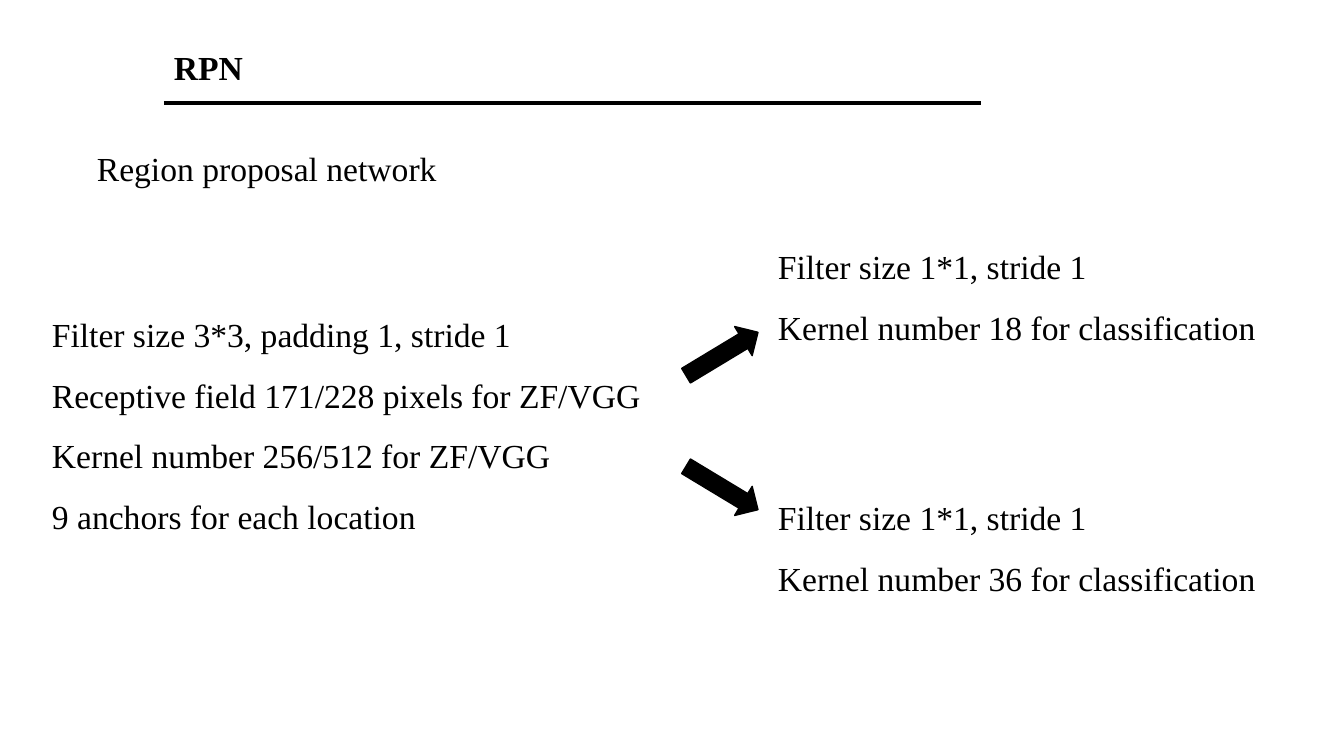
from pptx import Presentation
from pptx import util as u
from pptx.dml.color import RGBColor
from pptx.enum import shapes, text
from pptx.oxml.ns import qn
from lxml import etree

COLORS = {"ink": "000000"}
FONT = "Times New Roman"
PIXEL = u.Inches(1) / 100.8

TITLE = ("RPN", (164, 42, 90, 50))
RULE = (164, 103, 981, 103)
# Lines of text, then left, top, width, height
BODY = [
    (["Region proposal network"], (87, 123, 464, 64)),
    (["Filter size 3*3, padding 1, stride 1",
      "Receptive field 171/228 pixels for ZF/VGG",
      "Kernel number 256/512 for ZF/VGG",
      "9 anchors for each location"], (42, 289, 610, 254)),
]
BRANCH_AREA = (768, 610, 132)  # left, width, height
BRANCHES = [(18, 221), (36, 472)]  # kernel number, top
ARROW_AREA = (680, 84, 34)  # left, width, height
ARROWS = [(337, -31.1), (471, 31.1)]  # top, rotation


def scale(lengths):
    """Turn pixel lengths into EMU."""
    return [u.Emu(round(length * PIXEL)) for length in lengths]


def ink():
    """Return the drawing colour."""
    return RGBColor.from_string(COLORS["ink"])


def add_text(page, lines, area, size=24, bold=False, wrap=True,
             align=text.PP_ALIGN.JUSTIFY, spacing=1.5):
    """Add a text box with one paragraph for each line."""
    box = page.shapes.add_textbox(*scale(area))
    frame = box.text_frame
    frame.word_wrap = wrap
    frame.auto_size = text.MSO_AUTO_SIZE.SHAPE_TO_FIT_TEXT
    for index, line in enumerate(lines):
        para = frame.add_paragraph() if index else frame.paragraphs[0]
        para.alignment = align
        para.line_spacing = spacing
        span = para.add_run()
        span.text = line
        span.font.name = FONT
        span.font.size = u.Pt(size)
        span.font.bold = bold
        span.font.color.rgb = ink()


def add_rule(page, ends):
    """Add the line below the title."""
    rule = page.shapes.add_connector(shapes.MSO_CONNECTOR.STRAIGHT, *scale(ends))
    rule.line.color.rgb = ink()
    rule.line.width = u.Pt(2.25)
    properties = rule._element.find(qn("p:spPr"))
    etree.SubElement(properties, qn("a:effectLst"))


def add_arrow(page, area, rotation):
    """Add a solid block arrow turned by rotation degrees."""
    arrow = page.shapes.add_shape(shapes.MSO_SHAPE.RIGHT_ARROW, *scale(area))
    arrow.shadow.inherit = False
    arrow.rotation = rotation
    arrow.fill.solid()
    arrow.fill.fore_color.rgb = ink()
    arrow.line.color.rgb = ink()
    arrow.line.width = u.Pt(1)


deck = Presentation()
deck.slide_width, deck.slide_height = scale((1344, 756))
page = deck.slides.add_slide(deck.slide_layouts[6])

title, title_area = TITLE
add_text(page, [title], title_area, bold=True, wrap=False,
         align=text.PP_ALIGN.LEFT, spacing=1.0)
add_rule(page, RULE)
for lines, area in BODY:
    add_text(page, lines, area)

left, width, height = BRANCH_AREA
for kernels, top in BRANCHES:
    lines = ["Filter size 1*1, stride 1",
             f"Kernel number {kernels} for classification"]
    add_text(page, lines, (left, top, width, height))

left, width, height = ARROW_AREA
for top, rotation in ARROWS:
    add_arrow(page, (left, top, width, height), rotation)

deck.save("out.pptx")
